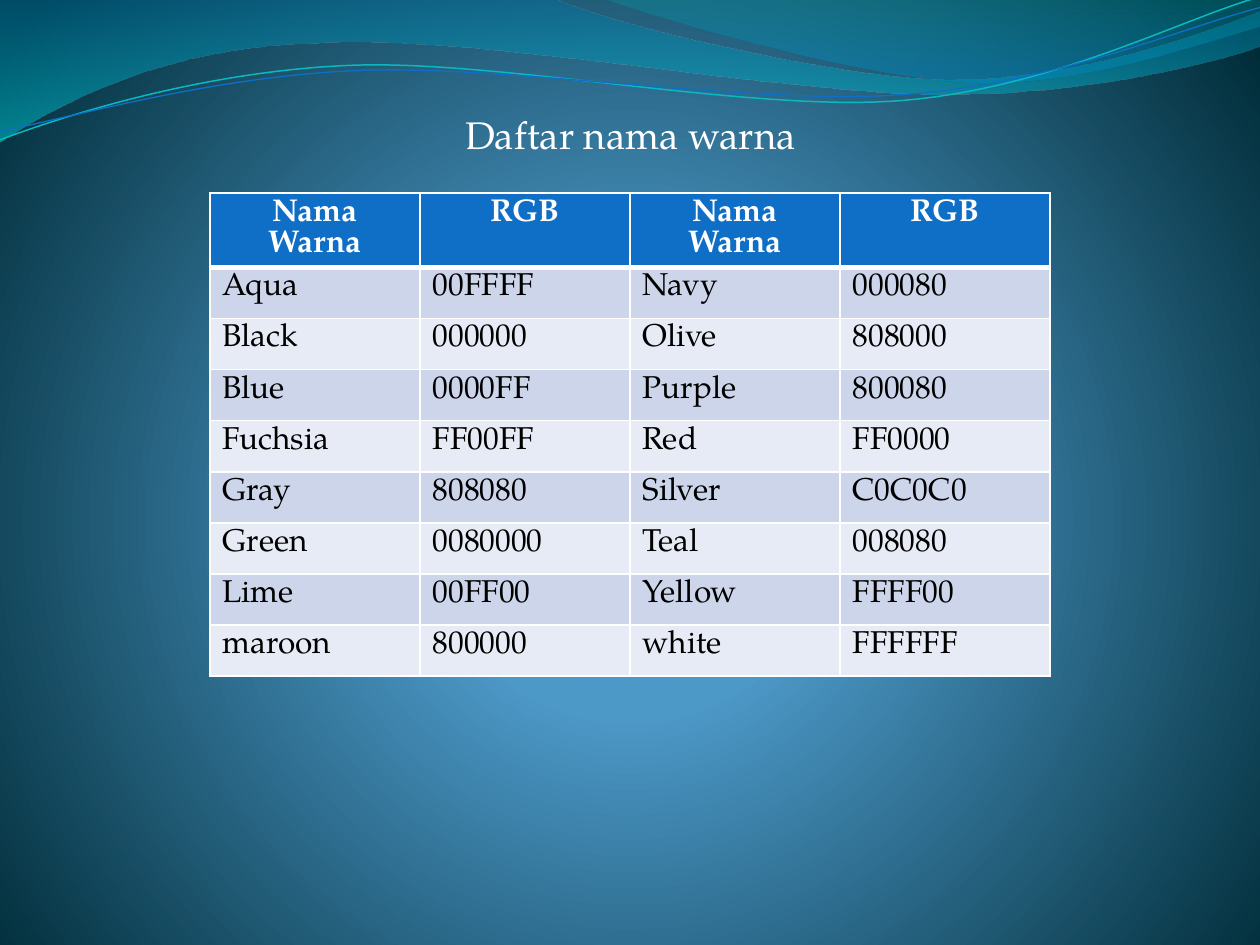
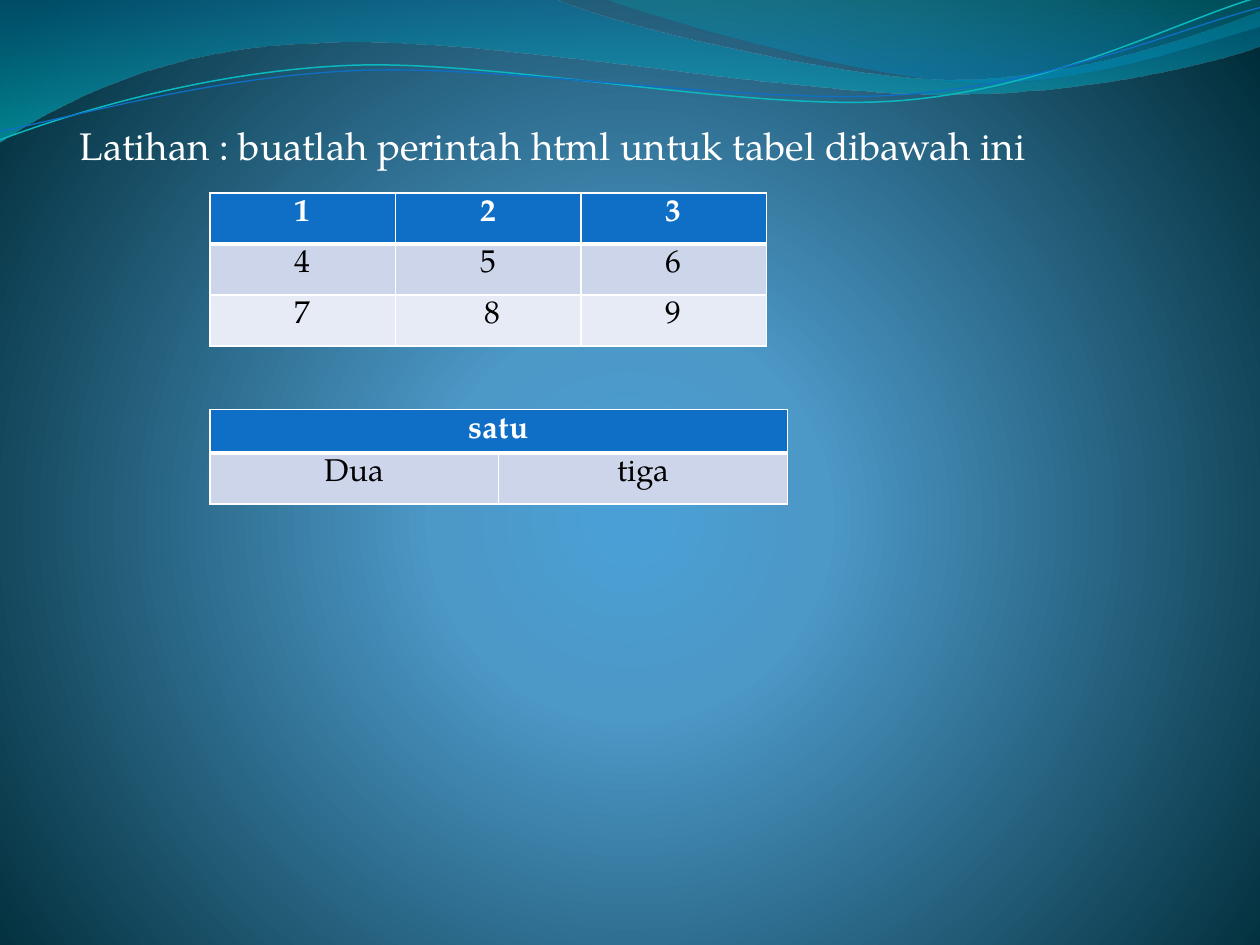
from lxml.etree import SubElement
from pptx import Presentation
from pptx.dml.color import RGBColor
from pptx.enum.text import PP_ALIGN
from pptx.oxml.ns import qn
from pptx.util import Pt

FONT = "TeX Gyre Pagella"
WHITE = "FFFFFF"
BLACK = "000000"
BLUE = "0F6FC6"
AQUA = "0AB8BF"
ROW_FILLS = ("CCD5EA", "E7EBF5")

TABLE_LEFT = 120
TABLE_TOP = 110.2
ROW_HEIGHT = 29.2
CELL_LINE_HEIGHT = 17.7

BACKGROUND_STOPS = [(0, "4AA0D6", 100), (25, "4C98C7", 100), (100, "002C38", 100)]
BACKGROUND_FOCUS = {"l": "10000", "t": "110000", "r": "10000", "b": "100000"}

WAVE_BANDS = [
    (
        (0, 0),
        [
            (316.8, -0.7),
            (342.7, 12.2, 478.1, 45.4, 545.8, 45.4),
            (614.2, 45.4, 689.8, 18.7, 720, 6.5),
            (720.7, 25.9),
            (707.8, 31.7, 626.4, 54.7, 537.1, 54),
            (447.8, 54, 275, 20.2, 185, 24.5),
            (92.9, 25.9, 33.1, 59.8, -0.7, 81.4),
            (0, 0),
        ],
        [(0, "0074A1", 45), (100, "00C6CF", 55)],
    ),
    (
        (344.9, -0.7),
        [
            (366.5, 7.9, 491, 44.6, 553.7, 46.8),
            (616.3, 49.7, 691.9, 23, 720, 15.1),
            (720, 0),
            (344.9, -0.7),
        ],
        [(0, "00A1A9", 30), (80, "008BBF", 45)],
    ),
]

WAVE_LINES = [
    (
        (0, 79.9),
        [
            (34.6, 67, 113.8, 41, 199.4, 37.4),
            (284.4, 33.8, 427, 64.1, 513.4, 57.6),
            (599.8, 51.1, 675.4, 10.8, 718.6, -1.4),
        ],
        AQUA,
        0.85,
    ),
    (
        (0, 74.9),
        [
            (33.8, 69.1, 118.1, 43.9, 203.8, 40.3),
            (290.2, 36.7, 429.8, 60.5, 516.2, 54),
            (601.9, 48.2, 677.5, 15.1, 720, 4.3),
        ],
        BLUE,
        0.75,
    ),
]

COLOR_NAMES = [
    ["Nama Warna", "RGB", "Nama Warna", "RGB"],
    ["Aqua", "00FFFF", "Navy", "000080"],
    ["Black", "000000", "Olive", "808000"],
    ["Blue", "0000FF", "Purple", "800080"],
    ["Fuchsia", "FF00FF", "Red", "FF0000"],
    ["Gray", "808080", "Silver", "C0C0C0"],
    ["Green", "0080000", "Teal", "008080"],
    ["Lime", "00FF00", "Yellow", "FFFF00"],
    ["maroon", "800000", "white", "FFFFFF"],
]
NUMBER_GRID = [["1", "2", "3"], ["4", "5", "6"], ["7", " 8", "9"]]
MERGED_GRID = [["satu", ""], ["Dua", "tiga"]]


def color(hex_value):
    return RGBColor.from_string(hex_value)


def write(text_frame, text, size=18, hex_value=BLACK, bold=False,
          align=PP_ALIGN.LEFT, space_before=0, line_height=None):
    paragraph = text_frame.paragraphs[0]
    paragraph.alignment = align
    paragraph.space_before = Pt(space_before)
    if line_height:
        paragraph.line_spacing = Pt(line_height)
    if text:
        run = paragraph.add_run()
        run.text = text
        run.font.name = FONT
        run.font.size = Pt(size)
        run.font.bold = bold
        run.font.color.rgb = color(hex_value)


def set_gradient(fill, owner, stops, focus=None):
    fill.gradient()
    gradient = owner.find(".//" + qn("a:gradFill"))
    for child in list(gradient):
        gradient.remove(child)
    stop_list = SubElement(gradient, qn("a:gsLst"))
    for position, hex_value, opacity in stops:
        stop = SubElement(stop_list, qn("a:gs"), pos=str(position * 1000))
        stop_color = SubElement(stop, qn("a:srgbClr"), val=hex_value)
        if opacity < 100:
            SubElement(stop_color, qn("a:alpha"), val=str(opacity * 1000))
    if focus:
        radial = SubElement(gradient, qn("a:path"), {"path": "circle"})
        SubElement(radial, qn("a:fillToRect"), focus)
    else:
        SubElement(gradient, qn("a:lin"), ang="5400000", scaled="0")


def bend_segments(shape, segments):
    vertices = iter(shape.element.findall(".//" + qn("a:lnTo")))
    for segment in segments:
        vertex = next(vertices)
        if len(segment) == 6:
            vertex.tag = qn("a:cubicBezTo")
            for control in (next(vertices), next(vertices)):
                vertex.append(control[0])
                control.getparent().remove(control)


def add_wave(slide, start, segments, closed):
    points = [(Pt(segment[index]), Pt(segment[index + 1]))
              for segment in segments for index in range(0, len(segment), 2)]
    builder = slide.shapes.build_freeform(Pt(start[0]), Pt(start[1]))
    builder.add_line_segments(points, close=closed)
    shape = builder.convert_to_shape()
    bend_segments(shape, segments)
    shape.shadow.inherit = False
    return shape


def add_themed_slide(presentation):
    slide = presentation.slides.add_slide(presentation.slide_layouts[6])
    set_gradient(slide.background.fill, slide.element, BACKGROUND_STOPS, BACKGROUND_FOCUS)
    for start, segments, stops in WAVE_BANDS:
        shape = add_wave(slide, start, segments, closed=True)
        set_gradient(shape.fill, shape.element, stops)
        shape.line.fill.background()
    for start, segments, hex_value, width in WAVE_LINES:
        shape = add_wave(slide, start, segments, closed=False)
        shape.fill.background()
        shape.line.color.rgb = color(hex_value)
        shape.line.width = Pt(width)
    return slide


def add_heading(slide, text, left, top, width, height, align=PP_ALIGN.LEFT):
    text_frame = slide.shapes.add_textbox(Pt(left), Pt(top), Pt(width), Pt(height)).text_frame
    text_frame.word_wrap = True
    text_frame.margin_left = text_frame.margin_right = Pt(3.6)
    text_frame.margin_top = text_frame.margin_bottom = Pt(3.6)
    write(text_frame, text, size=22, hex_value=WHITE, align=align, space_before=6)


def set_borders(cell, top, bottom):
    properties = cell._tc.get_or_add_tcPr()
    widths = {"a:lnL": 1, "a:lnR": 1, "a:lnT": top, "a:lnB": bottom}
    for tag, width in widths.items():
        line = SubElement(properties, qn(tag), w=str(Pt(width)))
        fill = SubElement(line, qn("a:solidFill"))
        SubElement(fill, qn("a:srgbClr"), val=WHITE)


def add_grid(slide, rows, top, width, header_height=ROW_HEIGHT,
             body_align=PP_ALIGN.CENTER, merge_header=False):
    heights = [header_height] + [ROW_HEIGHT] * (len(rows) - 1)
    table = slide.shapes.add_table(len(rows), len(rows[0]), Pt(TABLE_LEFT), Pt(top),
                                   Pt(width), Pt(sum(heights))).table
    table.first_row = table.horz_banding = False
    for row_index, values in enumerate(rows):
        table.rows[row_index].height = Pt(heights[row_index])
        header = row_index == 0
        for column_index, text in enumerate(values):
            cell = table.cell(row_index, column_index)
            set_borders(cell, top=3 if row_index == 1 else 1, bottom=3 if header else 1)
            cell.fill.solid()
            cell.fill.fore_color.rgb = color(BLUE if header else ROW_FILLS[(row_index - 1) % 2])
            write(cell.text_frame, text, hex_value=WHITE if header else BLACK, bold=header,
                  align=PP_ALIGN.CENTER if header else body_align,
                  line_height=CELL_LINE_HEIGHT)
    if merge_header:
        table.cell(0, 0).merge(table.cell(0, len(rows[0]) - 1))


def main():
    presentation = Presentation()
    presentation.slide_width = Pt(720)
    presentation.slide_height = Pt(540)

    color_slide = add_themed_slide(presentation)
    add_heading(color_slide, "Daftar nama warna ", 42, 60, 642, 402, align=PP_ALIGN.CENTER)
    add_grid(color_slide, COLOR_NAMES, TABLE_TOP, 480, body_align=PP_ALIGN.LEFT)

    exercise_slide = add_themed_slide(presentation)
    add_heading(exercise_slide, "Latihan : buatlah perintah html untuk tabel dibawah ini",
                42, 66, 612, 444)
    add_grid(exercise_slide, MERGED_GRID, 234, 330, header_height=24, merge_header=True)
    add_grid(exercise_slide, NUMBER_GRID, TABLE_TOP, 318)

    presentation.save("out.pptx")


if __name__ == "__main__":
    main()
